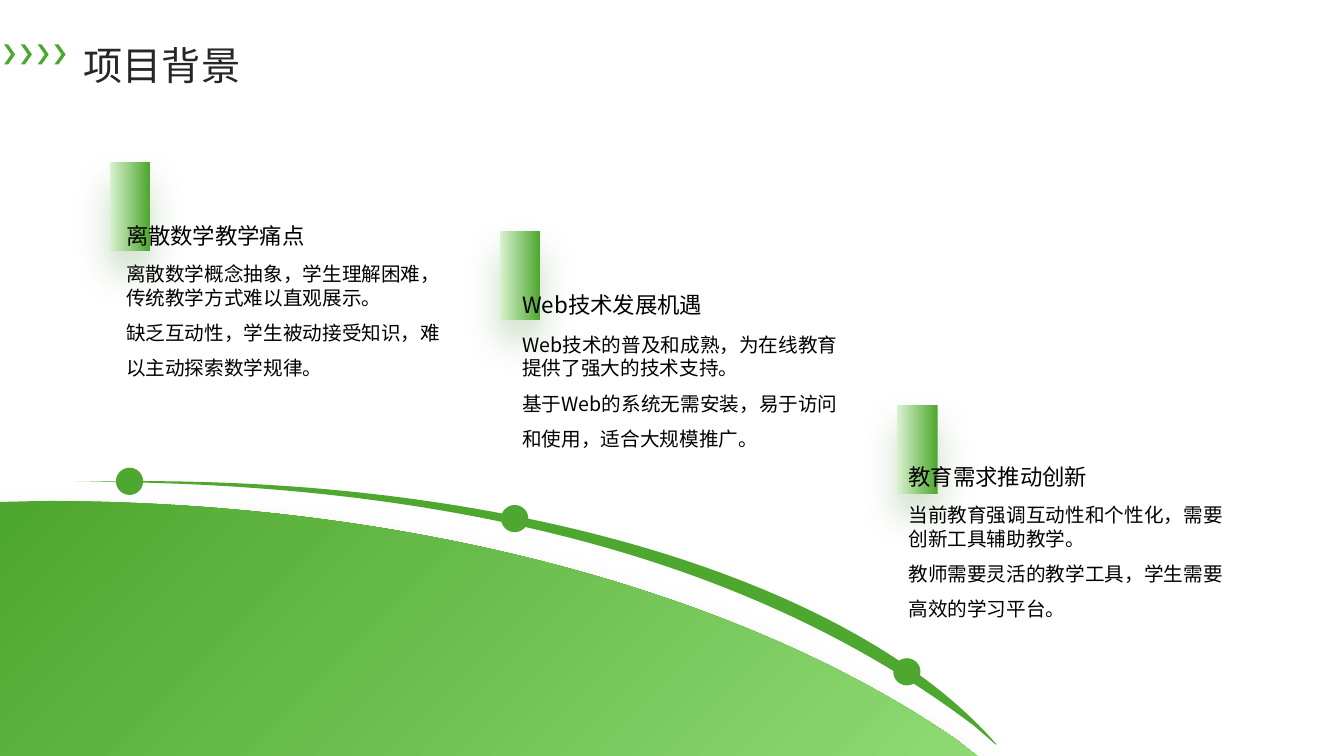
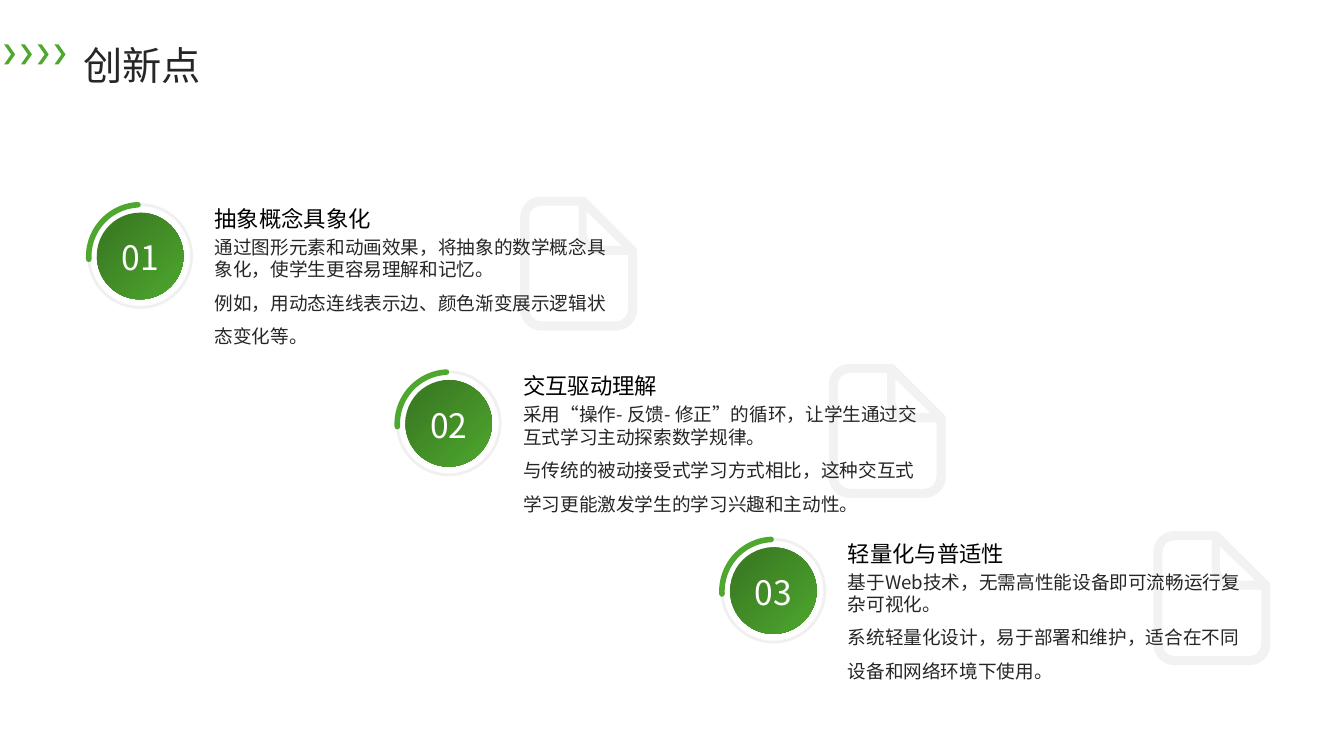
from lxml.etree import SubElement
from pptx import Presentation
from pptx.dml.color import RGBColor
from pptx.enum.shapes import MSO_SHAPE
from pptx.enum.text import MSO_ANCHOR, MSO_AUTO_SIZE, PP_ALIGN
from pptx.oxml.ns import qn
from pptx.util import Inches, Pt

COLORS = {
    "green": "4EA72E", "dark green": "3B7D23", "light green": "8ED973",
    "pale green": "D9F2D0", "ring": "D9D9D9", "icon": "F2F2F2",
    "black": "000000", "charcoal": "262626", "white": "FFFFFF",
}
RGB = {name: RGBColor.from_string(value) for name, value in COLORS.items()}
FONT = "Noto Sans CJK SC"
TITLE_AT = [Inches(value) for value in (0.83, 0.27, 11.35, 0.59)]

# Text styles; spacing holds one value for each paragraph
TITLE = {"size": 28, "color": "charcoal", "spacing": [1.3], "inset": 0}
CARD_HEAD = {"size": 16, "color": "black", "spacing": [1.3], "inset": 0,
             "anchor": MSO_ANCHOR.BOTTOM}
CARD_BODY = {"size": 14, "color": "black", "spacing": [1.0, 1.5], "inset": 0}
POINT_HEAD = {"size": 16, "color": "black", "spacing": [1.3],
              "anchor": MSO_ANCHOR.BOTTOM}
POINT_BODY = {"size": 13.3, "color": "charcoal", "spacing": [1.0, 1.5]}
NUMBER = {"size": 24, "color": "white", "spacing": [1.1],
          "anchor": MSO_ANCHOR.MIDDLE, "align": PP_ALIGN.CENTER}


def write(box, text, style):
    """Put formatted paragraphs, one a line, into a text shape."""
    frame = box.text_frame
    frame_format = {"word_wrap": True, "auto_size": MSO_AUTO_SIZE.NONE,
                    "vertical_anchor": style.get("anchor", MSO_ANCHOR.TOP)}
    if "inset" in style:
        for side in ("left", "top", "right", "bottom"):
            frame_format["margin_" + side] = Inches(style["inset"])
    for name, value in frame_format.items():
        setattr(frame, name, value)
    frame.text = text
    span_format = {"size": Pt(style["size"]), "name": FONT, "bold": False}
    for para, spacing in zip(frame.paragraphs, style["spacing"]):
        para.alignment = style.get("align", PP_ALIGN.LEFT)
        para.line_spacing = spacing
        span = para.runs[0]
        for name, value in span_format.items():
            setattr(span.font, name, value)
        span.font.color.rgb = RGB[style["color"]]
        SubElement(span.font._element, qn("a:ea"), typeface=FONT)


def outline(page, contours, color, left=0, top=0):
    """Draw closed contours; pairs are lines, sextets are cubic curves."""
    builder = None
    for contour in contours:
        points = [(Inches(left + step[i]), Inches(top + step[i + 1]))
                  for step in contour for i in range(0, len(step), 2)]
        if builder is None:
            builder = page.shapes.build_freeform(*points[0])
        else:
            builder.move_to(*points[0])
        builder.add_line_segments(points[1:], close=True)
    shape = builder.convert_to_shape()
    # Join the three points of each sextet into one curve
    lines = shape._element.spPr.iter(qn("a:lnTo"))
    lines = iter(list(lines))
    for contour in contours:
        for step in contour[1:]:
            first = next(lines)
            if len(step) == 6:
                first.tag = qn("a:cubicBezTo")
                for line in (next(lines), next(lines)):
                    first.append(line[0])
                    line.getparent().remove(line)
    shape.shadow.inherit = False
    shape.fill.solid()
    shape.fill.fore_color.rgb = RGB[color]
    shape.line.fill.background()
    return shape


deck = Presentation()
deck.slide_width, deck.slide_height = Inches(13.33), Inches(7.5)

# Both pages: title and chevrons
chevrons = []
for index in range(4):
    x = 0.04 + index / 6
    chevrons.append([(x + 0.11, 0.54), (x + 0.04, 0.44), (x, 0.44),
                     (x + 0.07, 0.54), (x, 0.64), (x + 0.04, 0.64)])
pages = []
for heading in ("项目背景", "创新点"):
    page = deck.slides.add_slide(deck.slide_layouts[5])
    title = page.shapes.title
    title.left, title.top, title.width, title.height = TITLE_AT
    write(title, heading, TITLE)
    outline(page, chevrons, "green")
    pages.append(page)
background_page, innovation_page = pages

# Background page: hill and swoosh
hill = outline(background_page, [[
    (0.41, 4.97), (4.13, 4.97, 7.43, 5.91, 9.5, 7.35),
    (9.69, 7.5), (0, 7.5), (0, 4.98)]], "green")
outline(background_page, [[
    (0.75, 4.78), (0.88, 4.78), (4.96, 4.68, 8.45, 5.74, 9.88, 7.38),
    (9.88, 7.39), (9.66, 7.2), (7.51, 5.57, 4.54, 4.79, 0.84, 4.78)]], "green")
gradient_shapes = [(hill, "light green", 315)]

# Background page: bar, text and dot of each card
cards = [
    ((1.09, 1.61), (1.25, 1.79), 2.6, (1.15, 4.64), "离散数学教学痛点",
     "离散数学概念抽象，学生理解困难，传统教学方式难以直观展示。\n"
     "缺乏互动性，学生被动接受知识，难以主动探索数学规律。"),
    ((4.96, 2.29), (5.18, 2.47), 3.3, (4.97, 5.01), "Web技术发展机遇",
     "Web技术的普及和成熟，为在线教育提供了强大的技术支持。\n"
     "基于Web的系统无需安装，易于访问和使用，适合大规模推广。"),
    ((8.9, 4.02), (9.01, 4.18), 4.99, (8.86, 6.53), "教育需求推动创新",
     "当前教育强调互动性和个性化，需要创新工具辅助教学。\n"
     "教师需要灵活的教学工具，学生需要高效的学习平台。"),
]
for bar_at, head_at, body_top, dot_at, heading, text in cards:
    shapes = background_page.shapes
    bar = shapes.add_shape(MSO_SHAPE.RECTANGLE, *map(Inches, bar_at),
                           Inches(0.4), Inches(0.88))
    bar.line.fill.background()
    gradient_shapes.append((bar, "pale green", 180))
    box = shapes.add_textbox(*map(Inches, head_at), Inches(3.15), Inches(0.68))
    write(box, heading, CARD_HEAD)
    box = shapes.add_textbox(Inches(head_at[0]), Inches(body_top),
                             Inches(3.15), Inches(1.57))
    write(box, text, CARD_BODY)
    for offset, size in ((0, 0.27), (0.1, 0.08)):
        dot = shapes.add_shape(
            MSO_SHAPE.OVAL, Inches(dot_at[0] + offset),
            Inches(dot_at[1] + offset), Inches(size), Inches(size))
        dot.shadow.inherit = False
        dot.fill.solid()
        dot.fill.fore_color.rgb = RGB["green"]
        dot.line.fill.background()

# Background page: gradients and soft shadows
for shape, end_color, angle in gradient_shapes:
    shape.fill.gradient()
    shape.fill.gradient_angle = angle
    first, last = shape.fill.gradient_stops
    first.color.rgb, first.position = RGB["green"], 0.01
    last.color.rgb, last.position = RGB[end_color], 1
    shape.shadow.inherit = False
    effects = shape._element.spPr.find(qn("a:effectLst"))
    shadow = SubElement(effects, qn("a:outerShdw"), blurRad=str(Pt(26)),
                        dist=str(Pt(15)), dir="5400000", algn="t", rotWithShape="0")
    tint = SubElement(shadow, qn("a:srgbClr"), val=COLORS["dark green"])
    SubElement(tint, qn("a:alpha"), val="25000")

# Innovation page: document icon as outer edge, fold and inside
document = [
    [(0.62, 0), (0.21, 0), (0.09, 0, 0, 0.09, 0, 0.21), (0, 1.12),
     (0, 1.23, 0.09, 1.33, 0.21, 1.33), (0.95, 1.33),
     (1.07, 1.33, 1.16, 1.23, 1.16, 1.12), (1.16, 0.54),
     (1.16, 0.52, 1.15, 0.51, 1.15, 0.51), (0.65, 0.01),
     (0.64, 0, 0.63, 0, 0.62, 0)],
    [(0.66, 0.37), (0.66, 0.15), (1.01, 0.49), (0.79, 0.49),
     (0.72, 0.49, 0.66, 0.44, 0.66, 0.37)],
    [(1.07, 1.12), (1.07, 1.18, 1.02, 1.24, 0.95, 1.24), (0.21, 1.24),
     (0.14, 1.24, 0.09, 1.18, 0.09, 1.12), (0.09, 0.21),
     (0.09, 0.14, 0.14, 0.09, 0.21, 0.09), (0.58, 0.09), (0.58, 0.37),
     (0.58, 0.49, 0.67, 0.58, 0.79, 0.58), (1.07, 0.58)],
]

# Innovation page: numbered points stepping down to the right
points = [
    (0.96, "抽象概念具象化",
     "通过图形元素和动画效果，将抽象的数学概念具象化，使学生更容易理解和记忆。\n"
     "例如，用动态连线表示边、颜色渐变展示逻辑状态变化等。"),
    (4.02, "交互驱动理解",
     "采用“操作- 反馈- 修正”的循环，让学生通过交互式学习主动探索数学规律。\n"
     "与传统的被动接受式学习方式相比，这种交互式学习更能激发学生的学习兴趣和主动性。"),
    (7.24, "轻量化与普适性",
     "基于Web技术，无需高性能设备即可流畅运行复杂可视化。\n"
     "系统轻量化设计，易于部署和维护，适合在不同设备和网络环境下使用。"),
]
for index, (left, heading, text) in enumerate(points):
    shapes = innovation_page.shapes
    top = 2.11 + 1.66 * index

    # Badge: disc, ring and arc
    disc = shapes.add_shape(MSO_SHAPE.OVAL, Inches(left), Inches(top),
                            Inches(0.86), Inches(0.86))
    disc.shadow.inherit = False
    disc.line.fill.background()
    disc.fill.gradient()
    first, last = disc.fill.gradient_stops
    first.color.rgb, first.position = RGB["green"], 0.01
    last.color.rgb, last.position = RGB["dark green"], 0.82
    gradient = disc._element.spPr.find(qn("a:gradFill"))
    gradient.remove(gradient.find(qn("a:lin")))
    radial = SubElement(gradient, qn("a:path"), path="circle")
    SubElement(radial, qn("a:fillToRect"), l="100000", t="100000")
    for kind, size, color, weight in ((MSO_SHAPE.OVAL, 1.02, "ring", 2),
                                      (MSO_SHAPE.ARC, 1.03, "green", 4)):
        rim = shapes.add_shape(kind, Inches(left - 0.08), Inches(top - 0.08),
                               Inches(size), Inches(size))
        rim.shadow.inherit = False
        rim.fill.background()
        rim.line.color.rgb = RGB[color]
        rim.line.width = Pt(weight)
        edge = rim._element.spPr.find(qn("a:ln"))
        if kind == MSO_SHAPE.ARC:
            rim.rotation = 267
            edge.set("cap", "rnd")
        else:
            tint = edge.find(".//" + qn("a:srgbClr"))
            SubElement(tint, qn("a:alpha"), val="36000")
    outline(innovation_page, document, "icon", left + 4.2, top - 0.16)

    # Number, heading and text
    for x, y, width, height, words, style in (
            (0.12, 0.17, 0.62, 0.51, f"{index + 1:02}", NUMBER),
            (1.07, -0.39, 4.11, 0.63, heading, POINT_HEAD),
            (1.07, 0.18, 4.11, 1.21, text, POINT_BODY)):
        box = shapes.add_textbox(Inches(left + x), Inches(top + y),
                                 Inches(width), Inches(height))
        write(box, words, style)

deck.save("out.pptx")
